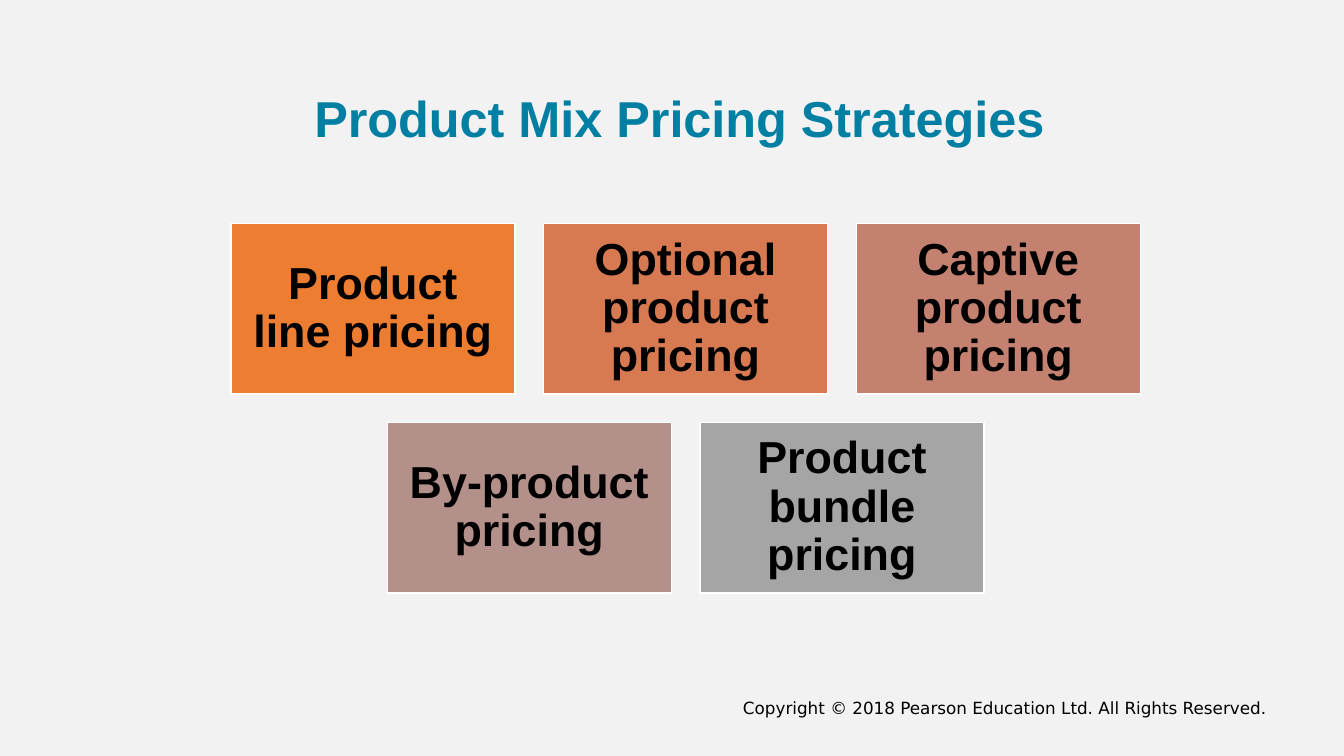
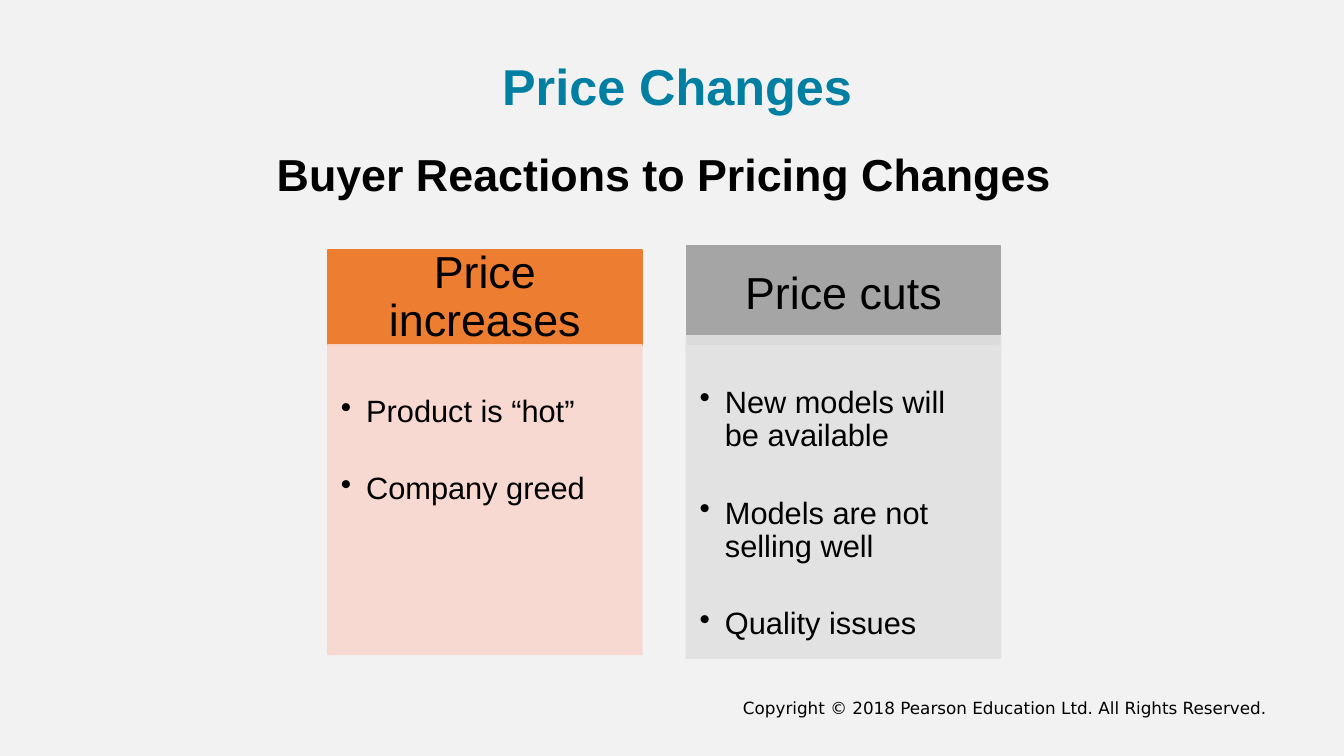
from dataclasses import dataclass

from lxml.etree import SubElement
from pptx import Presentation
from pptx.dml.color import RGBColor
from pptx.enum.shapes import MSO_SHAPE as Preset
from pptx.enum.text import MSO_ANCHOR as Anchor, MSO_AUTO_SIZE as AutoSize, PP_ALIGN as Align
from pptx.oxml.ns import qn
from pptx.util import Cm, Pt


@dataclass(frozen=True)
class Theme:
    font: str = "Arial"
    footer_font: str = "DejaVu Sans"
    background: str = "F2F2F2"
    title: str = "007FA3"
    text: str = "000000"
    outline: str = "FFFFFF"
    orange: str = "ED7D31"
    gray: str = "A5A5A5"
    pale_orange: str = "F8D7CE"
    pale_gray: str = "E1E1E1"
    blends: tuple = ("D87A51", "C48170", "B4908B")
    title_size: int = 36
    heading_size: int = 32
    bullet_size: int = 22
    footer_size: int = 12
    line_spacing: float = 0.9


THEME = Theme()
FOOTER = "Copyright © 2018 Pearson Education Ltd. All Rights Reserved."


def place(shape, box):
    shape.left, shape.top, shape.width, shape.height = (Cm(length) for length in box)


def format_text(frame, size, color=THEME.text, bold=False, align=Align.CENTER,
                anchor=Anchor.MIDDLE, font=THEME.font, spacing=THEME.line_spacing):
    frame.word_wrap = True
    frame.auto_size = AutoSize.NONE
    frame.vertical_anchor = anchor
    for paragraph in frame.paragraphs:
        paragraph.alignment = align
        paragraph.line_spacing = spacing
        for run in paragraph.runs:
            run.font.name = font
            run.font.size = Pt(size)
            run.font.bold = bold
            run.font.color.rgb = RGBColor.from_string(color)


def set_margins(frame, left, top, right, bottom):
    frame.margin_left, frame.margin_top = Cm(left), Cm(top)
    frame.margin_right, frame.margin_bottom = Cm(right), Cm(bottom)


def add_text(slide, box, text, size, **style):
    shape = slide.shapes.add_textbox(*(Cm(length) for length in box))
    shape.text_frame.text = text
    format_text(shape.text_frame, size, **style)


def add_block(slide, box, fill, line, text):
    shape = slide.shapes.add_shape(Preset.RECTANGLE, *(Cm(length) for length in box))
    shape.shadow.inherit = False
    shape.fill.solid()
    shape.fill.fore_color.rgb = RGBColor.from_string(fill)
    shape.line.color.rgb = RGBColor.from_string(line)
    shape.line.width = Pt(1)
    shape.text_frame.text = text
    return shape


def add_titled_slide(presentation, title, box, align):
    """Slide with its title and the shared footer."""
    slide = presentation.slides.add_slide(presentation.slide_layouts[5])
    place(slide.shapes.title, box)
    frame = slide.shapes.title.text_frame
    frame.text = title
    format_text(frame, THEME.title_size, THEME.title, bold=True, align=align)
    add_text(slide, (12.95, 17.45, 19.23, 1.02), FOOTER, THEME.footer_size,
             align=Align.RIGHT, anchor=Anchor.TOP, font=THEME.footer_font, spacing=1.0)
    return slide


def add_block_grid(slide, box, rows, gap=0.72):
    """Rows of equal blocks; shorter rows are centred in the box."""
    left, top, width, height = box
    columns = max(len(row) for row in rows)
    block_width = (width - gap * (columns - 1)) / columns
    block_height = (height - gap * (len(rows) - 1)) / len(rows)
    for row_index, row in enumerate(rows):
        row_width = len(row) * (block_width + gap) - gap
        row_left = left + (width - row_width) / 2
        for index, (text, color) in enumerate(row):
            block_box = (row_left + index * (block_width + gap),
                         top + row_index * (block_height + gap), block_width, block_height)
            frame = add_block(slide, block_box, color, THEME.outline, text).text_frame
            set_margins(frame, 0.33, 0.33, 0.33, 0.33)
            format_text(frame, THEME.heading_size, bold=True)


def add_bullet(paragraph):
    properties = paragraph._p.get_or_add_pPr()
    properties.set("marL", str(Cm(0.64)))
    properties.set("indent", str(-Cm(0.64)))
    SubElement(properties, qn("a:buChar")).set("char", "•")


def add_column(slide, box, header_height, panel_offset, heading, items, color, pale):
    """Header over a translucent panel of bullets."""
    left, top, width, height = box
    header = add_block(slide, (left, top, width, header_height), color, color, heading)
    set_margins(header.text_frame, 0.64, 0, 0.64, 0)
    format_text(header.text_frame, THEME.heading_size)

    panel_box = (left, top + panel_offset, width, height - panel_offset)
    panel = add_block(slide, panel_box, pale, pale, "\n".join(items))
    for fill_color in list(panel._element.spPr.iter(qn("a:srgbClr"))):
        SubElement(fill_color, qn("a:alpha")).set("val", "90000")
    frame = panel.text_frame
    set_margins(frame, 0.33, 1.29, 0.43, 0.3)
    for paragraph in frame.paragraphs:
        add_bullet(paragraph)
    format_text(frame, THEME.bullet_size, align=Align.LEFT, anchor=Anchor.TOP)
    for paragraph in frame.paragraphs[1:]:
        paragraph.space_before = Pt(31.5)


def build_strategies(presentation):
    slide = add_titled_slide(presentation, "Product Mix Pricing Strategies",
                             (4.8, 1.96, 24.66, 2.18), Align.CENTER)
    first, second, third = THEME.blends
    add_block_grid(slide, (5.82, 5.64, 22.92, 9.3), [
        [("Product line pricing", THEME.orange), ("Optional product pricing", first),
         ("Captive product pricing", second)],
        [("By-product pricing", third), ("Product bundle pricing", THEME.gray)],
    ])


def build_price_changes(presentation):
    slide = add_titled_slide(presentation, "Price Changes",
                             (12.4, 1.14, 9.96, 2.24), Align.LEFT)
    add_text(slide, (5.41, 3.73, 22.66, 1.6), "Buyer Reactions to Pricing Changes",
             THEME.heading_size, bold=True, anchor=Anchor.TOP)
    add_column(slide, (8.26, 6.3, 7.92, 10.19), 2.41, 2.39, "Price increases",
               ["Product is “hot”", "Company greed"], THEME.orange, THEME.pale_orange)
    add_column(slide, (17.3, 6.2, 7.92, 10.39), 2.49, 2.26, "Price cuts",
               ["New models will be available", "Models are not selling well",
                "Quality issues"], THEME.gray, THEME.pale_gray)


def main():
    presentation = Presentation()
    presentation.slide_width, presentation.slide_height = Cm(33.87), Cm(19.05)
    background = presentation.slide_master.background.fill
    background.solid()
    background.fore_color.rgb = RGBColor.from_string(THEME.background)
    build_strategies(presentation)
    build_price_changes(presentation)
    presentation.save("out.pptx")


if __name__ == "__main__":
    main()
